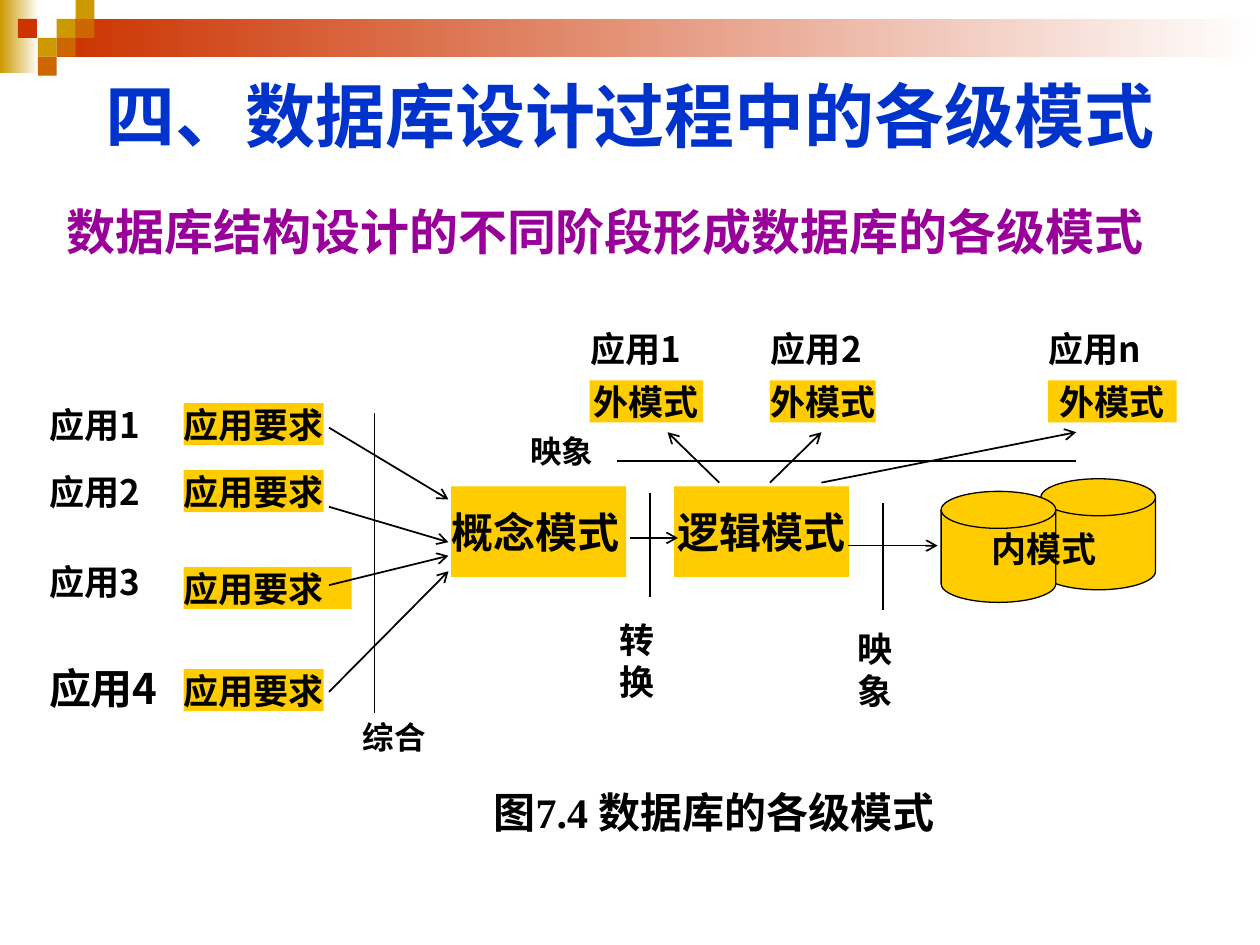
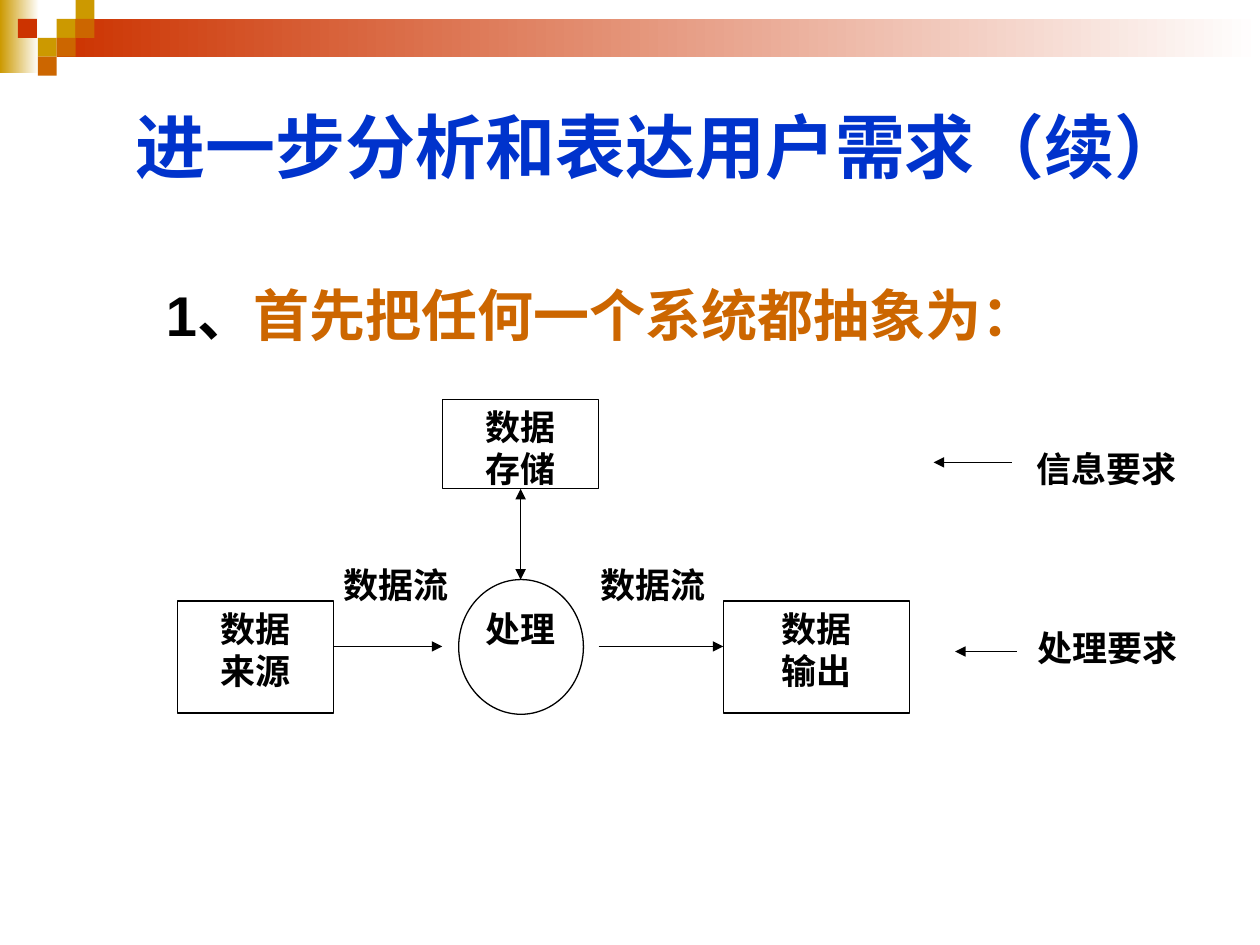
from dataclasses import dataclass

from lxml import etree
from pptx import Presentation
from pptx.dml.color import RGBColor
from pptx.enum.shapes import MSO_CONNECTOR, MSO_SHAPE
from pptx.enum.text import MSO_ANCHOR, PP_ALIGN
from pptx.oxml.ns import qn
from pptx.util import Pt

RECTANGLE = MSO_SHAPE.RECTANGLE
ELLIPSE = MSO_SHAPE.OVAL
DISK = MSO_SHAPE.FLOWCHART_MAGNETIC_DISK
STRAIGHT = MSO_CONNECTOR.STRAIGHT
LEFT, CENTER = PP_ALIGN.LEFT, PP_ALIGN.CENTER
TOP, MIDDLE, BOTTOM = MSO_ANCHOR.TOP, MSO_ANCHOR.MIDDLE, MSO_ANCHOR.BOTTOM

BLACK, WHITE = "000000", "FFFFFF"
RED, GOLD, ORANGE = "CC3300", "CC9900", "CC6600"
YELLOW, BLUE, PURPLE = "FFCC00", "0033CC", "990099"
CJK, ARIAL, TIMES = "Noto Sans CJK SC", "Arial", "Times New Roman"

LABEL = {"size": 20, "name": CJK, "color": BLACK}
SMALL_LABEL = LABEL | {"size": 18}
BIG_LABEL = LABEL | {"size": 24}
FLOW_LABEL = LABEL | {"name": TIMES}
TITLE = {"size": 40, "name": ARIAL, "color": BLUE}
ROOMY = (7.2, 3.6)
FLOW_INSET = (0, 3.6)
HANGING = 27.36


@dataclass
class Box:
    left: float
    top: float
    width: float
    height: float

    def at(self, x, y, width, height):
        return Box(self.left + x, self.top + y, width, height)

    def point(self, x, y):
        return self.left + x, self.top + y

    def lengths(self):
        return [Pt(v) for v in (self.left, self.top, self.width, self.height)]


def rgb(value):
    return RGBColor.from_string(value)


def style_span(span, style):
    font = span.font
    values = {"size": Pt(style["size"]), "name": style["name"], "bold": True}
    for key, value in values.items():
        setattr(font, key, value)
    font.color.rgb = rgb(style["color"])
    east_asian = etree.SubElement(span._r.get_or_add_rPr(), qn("a:ea"))
    east_asian.set("typeface", CJK)


def write(shape, text, style, align=LEFT, anchor=TOP, inset=(0, 0),
          wrap=True, before=0, hanging=0):
    side, end = inset
    frame = shape.text_frame
    values = {"margin_left": Pt(side), "margin_right": Pt(side),
              "margin_top": Pt(end), "margin_bottom": Pt(end),
              "vertical_anchor": anchor, "word_wrap": wrap}
    for key, value in values.items():
        setattr(frame, key, value)
    if isinstance(text, str):
        paragraphs = [[(line, style)] for line in text.split("\n")]
    else:
        paragraphs = [[(part, style | change) for part, change in text]]
    for index, parts in enumerate(paragraphs):
        para = frame.add_paragraph() if index else frame.paragraphs[0]
        para.alignment = align
        if before:
            para.space_before = Pt(before)
        if hanging:
            properties = para._p.get_or_add_pPr()
            properties.set("marL", str(Pt(hanging)))
            properties.set("indent", str(-Pt(hanging)))
        for part, span_style in parts:
            span = para.add_run()
            span.text = part
            style_span(span, span_style)


def add_text(page, box, text, style=LABEL, **layout):
    write(page.shapes.add_textbox(*box.lengths()), text, style, **layout)


def add_block(page, box, fill=None, line=None, kind=RECTANGLE, text=None,
              style=LABEL, **layout):
    shape = page.shapes.add_shape(kind, *box.lengths())
    shape.shadow.inherit = False
    if fill:
        shape.fill.solid()
        shape.fill.fore_color.rgb = rgb(fill)
    else:
        shape.fill.background()
    if line:
        shape.line.color.rgb = rgb(line)
        shape.line.width = Pt(0.75)
    else:
        shape.line.fill.background()
    if text:
        write(shape, text, style, **layout)
    return shape


def add_line(page, start, end, width=1, head=None, tail=None):
    line = page.shapes.add_connector(STRAIGHT, *(Pt(v) for v in start + end))
    line.line.color.rgb = rgb(BLACK)
    line.line.width = Pt(width)
    outline = line.line._get_or_add_ln()
    for tag, kind in (("a:headEnd", head), ("a:tailEnd", tail)):
        if kind:
            etree.SubElement(outline, qn(tag)).set("type", kind)
    etree.SubElement(line._element.spPr, qn("a:effectLst"))


def add_fade(page, box, color):
    fill = add_block(page, box, fill=color).fill
    fill.gradient()
    fill.gradient_angle = 0
    for stop, shade in zip(fill.gradient_stops, (color, WHITE)):
        stop.color.rgb = rgb(shade)


def draw_header(page, box):
    add_fade(page, box.at(0, 0, 22.3, 41.8), GOLD)
    add_fade(page, box.at(32.4, 10.8, box.width - 32.4, 21.6), RED)
    tile = 10.8
    tiles = [(3, 1, GOLD), (4, 0, GOLD), (4, 1, ORANGE), (2, 2, GOLD),
             (0.95, 1, RED), (3, 2, ORANGE), (2, 3, ORANGE)]
    for column, row, color in tiles:
        add_block(page, box.at(column * tile, row * tile, tile, tile), color)


def draw_title(page, box, text, anchor):
    add_text(page, box, text, TITLE, align=CENTER, anchor=anchor, inset=ROOMY)


def draw_requirements(page, box):
    rows = [("应用1", LABEL, 0, 0, 80, 14, 55),
            ("应用2", LABEL, 38.2, 38.2, 80, 59.2, 79.4),
            ("应用3", LABEL, 90, 93.6, 96, 104, 87.2),
            ("应用4", BIG_LABEL, 148.3, 152, 80, 165, 96)]
    for name, style, name_top, need_top, need_width, start, end in rows:
        add_block(page, box.at(77, need_top, need_width, 24), YELLOW,
                  text="应用要求", wrap=False)
        add_text(page, box.at(0, name_top, 76, style["size"] * 1.2), name,
                 style)
        add_line(page, box.point(160, start), box.point(228.3, end),
                 tail="arrow")
    add_line(page, box.point(186, 5.8), box.point(186, 177))
    add_text(page, box.at(179.4, 180, 48, 22), "综合", SMALL_LABEL)


def draw_central_schemas(page, box):
    for x, text, align in ((0, "概念模式", LEFT), (127.4, "逻辑模式", CENTER)):
        add_block(page, box.at(x, 0, 100, 51.8), YELLOW, text=text,
                  style=BIG_LABEL, align=align, inset=(0, 11.5))
    links = [(102.2, 129.6, 29.5, 113.7, 3.6, 63.4, "转换", 96.4, 75.6, 39),
             (226.8, 278, 33.9, 246.9, 9.4, 70.6, "映象", 232.5, 80.7, 30)]
    for start, end, y, wall, upper, lower, text, x, text_top, width in links:
        add_line(page, box.point(start, y), box.point(end, y), tail="arrow")
        add_line(page, box.point(wall, upper), box.point(wall, lower))
        add_text(page, box.at(x, text_top, width, 48), text)


def draw_external_schemas(page, box):
    columns = [("应用1", 34.5, 34, 64.8, True, 108, 78.5),
               ("应用2", 137.5, 137, 60.5, False, 137, 166.4),
               ("应用n", 296, 296, 73.4, True, 166.4, 312)]
    for name, name_x, x, width, wrap, start, end in columns:
        add_text(page, box.at(name_x, 0, 76, 24), name)
        add_block(page, box.at(x, 30.2, width, 24), YELLOW, text="外模式",
                  align=CENTER, wrap=wrap)
        add_line(page, box.point(start, 88.6), box.point(end, 59.8),
                 tail="arrow")
    add_line(page, box.point(49.8, 76.3), box.point(312, 76.3))
    add_text(page, box.at(0, 59.8, 40, 22), "映象", SMALL_LABEL)


def draw_internal_schema(page, box):
    for x, y in ((57, 0), (0, 7.2)):
        add_block(page, box.at(x, y, 65.5, 63.4), YELLOW, BLACK, DISK)
    add_text(page, box.at(28.8, 28, 73.4, 24), "内模式")


def draw_data_flow(page, box):
    for x, width in ((231.9, 80), (89.3, 71.3)):
        add_text(page, box.at(x, 90, width, 51), "数据流", FLOW_LABEL,
                 align=CENTER, inset=FLOW_INSET)
    add_block(page, box.at(160.6, 103, 71.3, 77), line=BLACK, kind=ELLIPSE)
    stores = [(151.2, 0, 89.3, 51.2, "数据\n存储"),
              (0, 115.2, 89.3, 64.1, "数据\n来源"),
              (311.8, 115.2, 106.6, 64.1, "数据\n输出")]
    for x, y, width, height, text in stores:
        add_block(page, box.at(x, y, width, height), line=BLACK, text=text,
                  style=FLOW_LABEL, align=CENTER, inset=FLOW_INSET)
    add_text(page, box.at(169.2, 115.2, 53.3, 38), "处理", FLOW_LABEL,
             align=CENTER, inset=FLOW_INSET)
    for start, end in ((89.3, 151.2), (240.5, 311.8)):
        add_line(page, box.point(start, 141.2), box.point(end, 141.2), 0.75,
                 tail="triangle")
    add_line(page, box.point(196, 51.2), box.point(196, 103), 0.75,
             head="triangle", tail="triangle")


def draw_demands(page, box):
    demands = [("信息要求", 54, 0, 44.7, 0, 12.2),
               ("处理要求", 54.7, 102.2, 47.5, 12.3, 120.3)]
    for text, x, y, start, end, arrow_y in demands:
        add_text(page, box.at(x, y, 89.3, 45), text, FLOW_LABEL,
                 align=CENTER, inset=FLOW_INSET)
        add_line(page, box.point(start, arrow_y), box.point(end, arrow_y),
                 0.75, tail="triangle")


def build_schema_page(page, box):
    draw_header(page, box)
    draw_title(page, box.at(36, 36, 648, 58.3), "四、数据库设计过程中的各级模式",
               MIDDLE)
    add_text(page, box.at(31, 111.6, 663, 45.4),
             "数据库结构设计的不同阶段形成数据库的各级模式",
             {"size": 28, "name": ARIAL, "color": PURPLE},
             inset=ROOMY, before=7, hanging=HANGING)
    draw_central_schemas(page, box.at(257.8, 277.9, 278, 130))
    draw_requirements(page, box.at(28, 230.4, 229, 202))
    draw_external_schemas(page, box.at(303, 187.2, 370, 89))
    draw_internal_schema(page, box.at(537.8, 273.6, 123, 71))
    add_text(page, box.at(275, 445.7, 366, 36),
             [("图", {}), ("7.4 ", {"name": TIMES}), ("数据库的各级模式", {})],
             BIG_LABEL, inset=ROOMY, before=15)


def build_flow_page(page, box):
    draw_header(page, box)
    draw_title(page, box.at(54, 54.7, 646.6, 56.2),
               "进一步分析和表达用户需求（续）", BOTTOM)
    add_text(page, box.at(87.8, 157, 612, 324),
             [("1、", {}), ("首先把任何一个系统都抽象为：", {"color": ORANGE})],
             {"size": 32, "name": ARIAL, "color": BLACK},
             inset=ROOMY, before=8, hanging=HANGING)
    draw_data_flow(page, box.at(101.5, 228.2, 418.4, 180))
    draw_demands(page, box.at(533.5, 252, 144, 147))


def main():
    deck = Presentation()
    canvas = Box(0, 0, 720, 540)
    deck.slide_width, deck.slide_height = Pt(canvas.width), Pt(canvas.height)
    for build in (build_schema_page, build_flow_page):
        build(deck.slides.add_slide(deck.slide_layouts[6]), canvas)
    deck.save("out.pptx")


if __name__ == "__main__":
    main()
